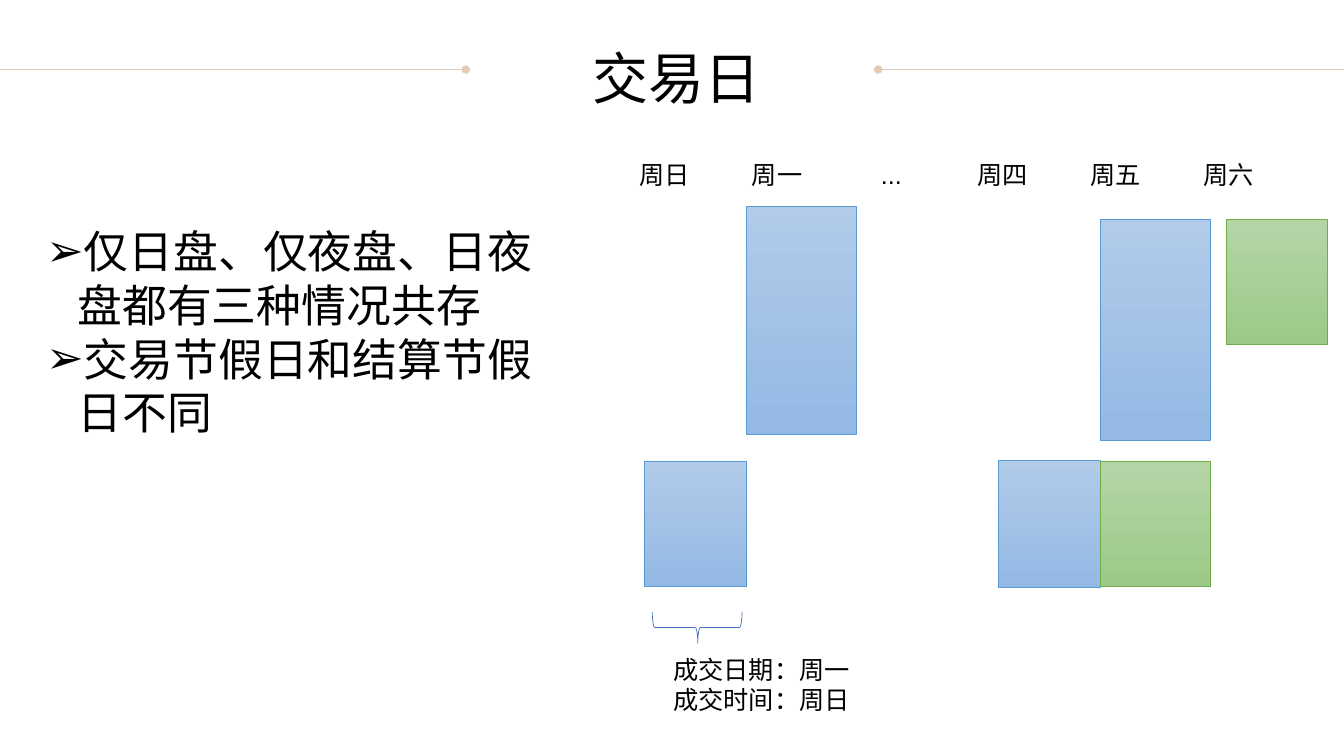
from dataclasses import dataclass

from lxml import etree
from pptx import Presentation
from pptx.dml.color import RGBColor
from pptx.enum.shapes import MSO_CONNECTOR, MSO_SHAPE
from pptx.enum.text import MSO_AUTO_SIZE, PP_ALIGN
from pptx.oxml.ns import qn
from pptx.util import Inches, Pt

RECT, BRACE = MSO_SHAPE.RECTANGLE, MSO_SHAPE.LEFT_BRACE
LINE = MSO_CONNECTOR.STRAIGHT
LEFT, MID = PP_ALIGN.LEFT, PP_ALIGN.CENTER
FIT = MSO_AUTO_SIZE.SHAPE_TO_FIT_TEXT


@dataclass(frozen=True)
class Theme:
    font: str = "Arial"
    ink: str = "000000"
    rule: str = "E3CAB4"
    brace: str = "4472C4"
    blue: tuple = ("B1CBE9", "93B9E4", "5B9BD5")  # top, base, edge
    green: tuple = ("B5D5A7", "9CC987", "70AD47")
    title: int = 40
    body: int = 32
    label: int = 18
    thin: float = 0.5


THEME = Theme()

# Grid of 100 columns by 100 rows
WIDE, HIGH = Inches(13.33), Inches(7.5)

# Left edge and width of each day, in columns
DAYS = {
    "周日": (47.94, 7.58),
    "周一": (55.51, 8.18),
    "周四": (74.27, 7.58),
    "周五": (81.85, 8.18),
    "周六": (91.22, 7.58),
}
# Day, top row, rows, colours
BLOCKS = [
    ("周六", 29.07, 16.53, THEME.green),
    ("周日", 61.07, 16.53, THEME.blue),
    ("周一", 27.33, 30.13, THEME.blue),
    ("周四", 60.93, 16.8, THEME.blue),
    ("周五", 29.07, 29.2, THEME.blue),
    ("周五", 61.07, 16.53, THEME.green),
]
HEADS = ["周日", "周一", "...", "周四", "周五", "周六"]
PITCH = 8.4
STOPS = [PITCH, 18, 3 * PITCH, 4 * PITCH, 5 * PITCH]


def col(n):
    return round(WIDE * n / 100)


def row(n):
    return round(HIGH * n / 100)


def area(x, y, w, h):
    return col(x), row(y), col(w), row(h)


def paint(line, tint):
    line.color.rgb = RGBColor.from_string(tint)
    line.width = Pt(THEME.thin)


def add_rule(slide, start, end, y, dot):
    rule = slide.shapes.add_connector(LINE, col(start), row(y), col(end), row(y))
    paint(rule.line, THEME.rule)
    etree.SubElement(rule.line._get_or_add_ln(), qn(dot), type="oval")
    etree.SubElement(rule._element.spPr, qn("a:effectLst"))


def add_block(slide, day, y, h, tints):
    x, w = DAYS[day]
    block = slide.shapes.add_shape(RECT, *area(x, y, w, h))
    block.shadow.inherit = False
    top, base, edge = tints
    block.fill.gradient()
    block.fill.gradient_angle = 270
    for stop, tint in zip(block.fill.gradient_stops, (top, base)):
        stop.color.rgb = RGBColor.from_string(tint)
    paint(block.line, edge)


def add_brace(slide, x, y, w, h):
    brace = slide.shapes.add_shape(BRACE, *area(x, y, w, h))
    brace.shadow.inherit = False
    brace.rotation = 270
    brace.adjustments[0], brace.adjustments[1] = 0.083, 0.507
    brace.fill.background()
    paint(brace.line, THEME.brace)


def add_text(slide, box, text, size, align=LEFT, wrap=True):
    shape = slide.shapes.add_textbox(*area(*box))
    frame = shape.text_frame
    frame.text = text
    frame.word_wrap = wrap
    frame.auto_size = FIT
    for para in frame.paragraphs:
        para.alignment = align
        for run in para.runs:
            run.font.name = THEME.font
            run.font.size = Pt(size)
            run.font.color.rgb = RGBColor.from_string(THEME.ink)
    return frame


def add_bullets(frame):
    for para in frame.paragraphs:
        props = para._p.get_or_add_pPr()
        props.set("marL", str(Inches(0.31)))
        props.set("indent", str(-Inches(0.31)))
        etree.SubElement(props, qn("a:buFont"), typeface=THEME.font)
        etree.SubElement(props, qn("a:buChar"), char="➢")


def add_tabs(frame, stops):
    props = frame.paragraphs[0]._p.get_or_add_pPr()
    tabs = etree.SubElement(props, qn("a:tabLst"))
    for stop in stops:
        etree.SubElement(tabs, qn("a:tab"), pos=str(col(stop)), algn="l")


def main():
    deck = Presentation()
    deck.slide_width, deck.slide_height = WIDE, HIGH
    slide = deck.slides.add_slide(deck.slide_layouts[6])

    # Title between two rules
    add_rule(slide, 0, 34.66, 9.2, "a:tailEnd")
    add_rule(slide, 65.34, 100, 9.2, "a:headEnd")
    add_text(slide, (42.9, 5.07, 14.93, 10.27), "交易日", THEME.title, MID, False)

    # Week chart
    heads = add_text(slide, (46.81, 20.4, 53.19, 5.33), "\t".join(HEADS), THEME.label)
    add_tabs(heads, STOPS)
    for block in BLOCKS:
        add_block(slide, *block)

    # Note on the Sunday session
    add_brace(slide, 50.71, 77.07, 2.33, 11.87)
    note = "成交日期：周一\n成交时间：周日"
    add_text(slide, (49.36, 85.87, 16.28, 9.47), note, THEME.label)

    # Key points
    points = "仅日盘、仅夜盘、日夜盘都有三种情况共存\n交易节假日和结算节假日不同"
    add_bullets(add_text(slide, (2.7, 28.93, 40.81, 30), points, THEME.body))

    deck.save("out.pptx")


if __name__ == "__main__":
    main()
